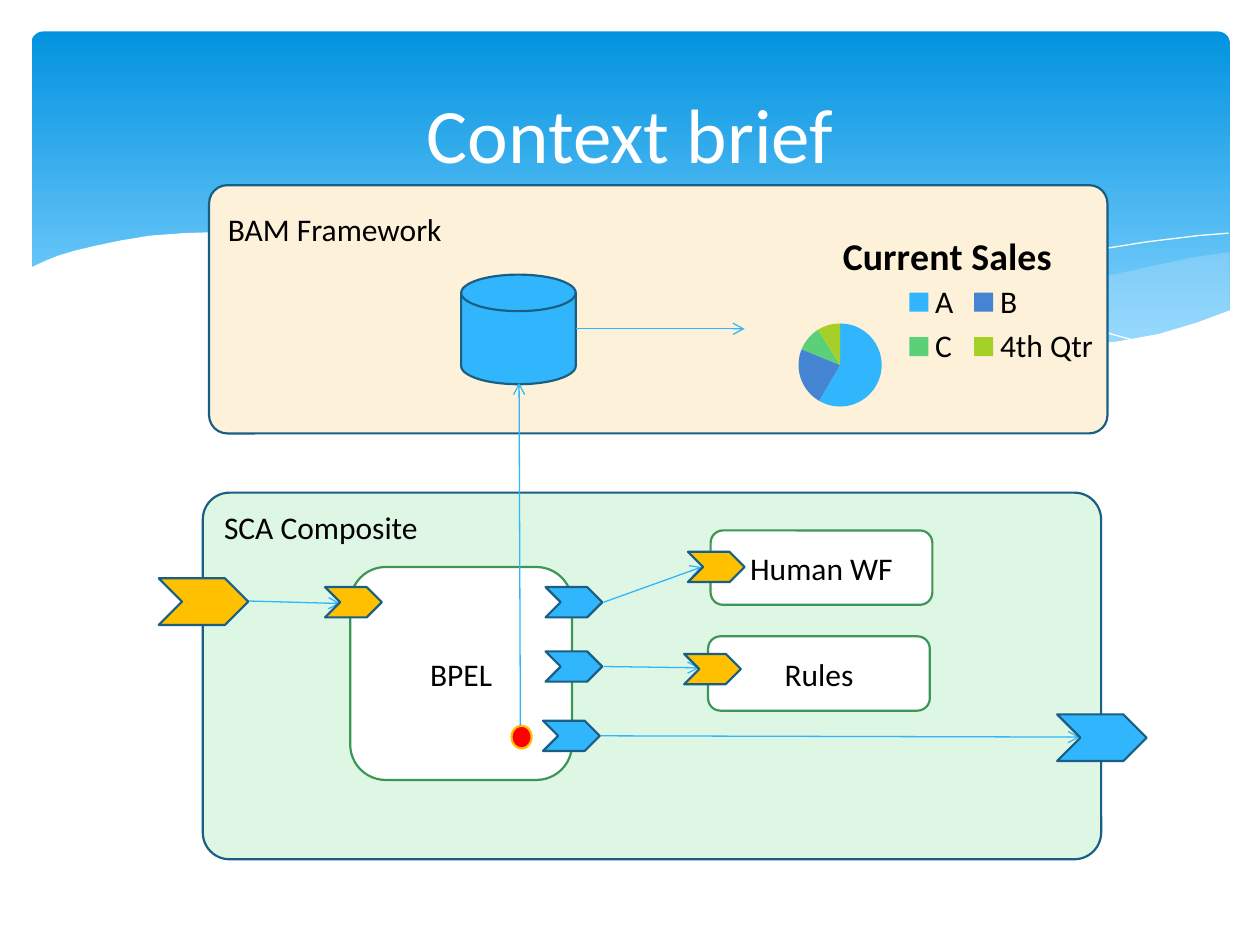
import pptx
import pptx.chart.data
import pptx.dml.color
import pptx.enum.chart
import pptx.enum.shapes
import pptx.enum.text
import pptx.oxml.ns
import pptx.util
from lxml import etree
from pptx.util import Inches

SHAPES = pptx.enum.shapes.MSO_SHAPE
ALIGN = pptx.enum.text.PP_ALIGN
ANCHOR = pptx.enum.text.MSO_ANCHOR
qn = pptx.oxml.ns.qn

FONT = "Calibri"
BLUE, AMBER, NAVY, GREEN = "31B6FD", "FFC000", "195F84", "3D9653"
WHITE, BLACK, PALE_BLUE = "FFFFFF", "000000", "C6E7FC"
LARGE_PORT, SMALL_PORT = (0.71, 0.37), (0.45, 0.24)

# Header waves: outline points in inches
FAR_WAVE = [
    (9.76, 2), (9.48, 2.04), (9.06, 2.13), (8.61, 2.23), (8.05, 2.37),
    (7.29, 2.53), (6.61, 2.65), (7.05, 2.71), (7.57, 2.76), (8.14, 2.78),
    (8.54, 2.76), (8.89, 2.72), (9.21, 2.65), (9.49, 2.57), (9.76, 2.47)]
MIDDLE_WAVE = [
    (8.93, 2.73), (8.37, 2.65), (7.75, 2.54), (7.06, 2.4), (6.29, 2.22),
    (5.84, 2.11), (5.41, 2.03), (4.89, 1.94), (4.42, 1.89), (3.99, 1.86),
    (3.61, 1.85), (3.28, 1.87), (2.86, 1.91), (3.42, 1.99), (4.04, 2.11),
    (4.49, 2.22), (5.3, 2.4), (6.01, 2.55), (6.65, 2.66), (7.22, 2.74),
    (7.73, 2.77), (8.18, 2.78), (8.57, 2.77)]
FALLING_LINE = [
    (3.09, 1.95), (3.28, 1.92), (3.53, 1.89), (3.87, 1.87), (4.33, 1.87),
    (4.89, 1.9), (5.33, 1.94), (5.82, 2), (6.36, 2.08), (6.95, 2.19),
    (7.6, 2.33), (8.31, 2.51), (9.07, 2.72)]
RISING_LINE = [
    (6.13, 2.57), (6.53, 2.46), (6.95, 2.35), (7.48, 2.23), (8.06, 2.1),
    (8.66, 1.99), (9.1, 1.92), (9.51, 1.87), (9.75, 1.85)]
WHITE_WAVE = [
    (9.77, 2.46), (9.5, 2.56), (9.2, 2.65), (8.87, 2.71), (8.5, 2.75),
    (8.09, 2.77), (7.61, 2.75), (7.08, 2.7), (6.48, 2.62), (5.79, 2.5),
    (5.03, 2.33), (4.47, 2.2), (3.91, 2.07), (3.4, 1.97), (2.92, 1.9),
    (2.5, 1.86), (2.11, 1.84), (1.77, 1.84), (1.46, 1.85), (1.19, 1.87),
    (0.95, 1.91), (0.76, 1.95), (0.59, 1.99), (0.46, 2.03), (0.36, 2.07),
    (0.23, 2.13), (0.23, 3.29), (9.77, 3.29)]


def rgb(value):
    return pptx.dml.color.RGBColor.from_string(value)


def paint(shape, fill=None, line=None, width=1.25):
    shape.shadow.inherit = False
    if fill:
        shape.fill.solid()
        shape.fill.fore_color.rgb = rgb(fill)
    else:
        shape.fill.background()
    if line:
        shape.line.color.rgb = rgb(line)
        shape.line.width = pptx.util.Pt(width)
    else:
        shape.line.fill.background()


def write(shape, text, size=18, color=BLACK, align=ALIGN.CENTER):
    paragraph = shape.text_frame.paragraphs[0]
    paragraph.text = text
    paragraph.alignment = align
    paragraph.font.size = pptx.util.Pt(size)
    paragraph.font.name = FONT
    paragraph.font.color.rgb = rgb(color)


def add_box(slide, kind, box, fill, line=NAVY, text=None, corner=None):
    shape = slide.shapes.add_shape(kind, *map(Inches, box))
    paint(shape, fill, line)
    if corner is not None:
        shape.adjustments[0] = corner
    if text:
        write(shape, text)
        shape.text_frame.vertical_anchor = ANCHOR.MIDDLE
    return shape


def add_port(slide, left, top, size, fill):
    add_box(slide, SHAPES.CHEVRON, (left, top, *size), fill)


def add_label(slide, box, text):
    label = slide.shapes.add_textbox(*map(Inches, box))
    label.text_frame.word_wrap = False
    write(label, text, align=ALIGN.LEFT)


def add_arrow(slide, start, end):
    arrow = slide.shapes.add_connector(
        pptx.enum.shapes.MSO_CONNECTOR.STRAIGHT, *map(Inches, start + end))
    arrow.line.color.rgb = rgb(BLUE)
    arrow.line.width = pptx.util.Pt(0.75)
    etree.SubElement(arrow.line._get_or_add_ln(), qn("a:tailEnd"), type="arrow")
    etree.SubElement(arrow._element.spPr, qn("a:effectLst"))


def add_wave(slide, points, fill=None, opacity=100, line=None):
    outline = [(Inches(x), Inches(y)) for x, y in points]
    builder = slide.shapes.build_freeform(*outline[0], scale=1.0)
    builder.add_line_segments(outline[1:], close=fill is not None)
    wave = builder.convert_to_shape()
    paint(wave, fill, line, 0)
    if opacity < 100:
        color = wave._element.spPr.find(qn("a:solidFill"))[0]
        etree.SubElement(color, qn("a:alpha"), val=str(opacity * 1000))


def add_header(slide):
    banner = add_box(slide, SHAPES.ROUNDED_RECTANGLE, (0.25, 0.25, 9.51, 2.7),
                     WHITE, None, corner=0.034)
    banner.fill.gradient()
    banner.fill.gradient_angle = 270
    for stop, (position, color) in zip(banner.fill.gradient_stops,
                                       [(0, "0293E0"), (0.9, "83D3FE")]):
        stop.position = position
        stop.color.rgb = rgb(color)
    add_wave(slide, FAR_WAVE, PALE_BLUE, 29)
    add_wave(slide, MIDDLE_WAVE, PALE_BLUE, 40)
    add_wave(slide, FALLING_LINE, line=WHITE)
    add_wave(slide, RISING_LINE, line=WHITE)
    add_wave(slide, WHITE_WAVE, WHITE)


def place_title(slide):
    title = slide.shapes.title
    title.left, title.top, title.width, title.height = map(
        Inches, (0.5, 0.37, 9, 1.37))
    title.text_frame.vertical_anchor = ANCHOR.MIDDLE
    write(title, "Context brief", 44, WHITE)
    # The title sits in front of the header
    slide.shapes._spTree.append(title._element)


def add_composite(slide):
    rounded = SHAPES.ROUNDED_RECTANGLE
    add_box(slide, rounded, (1.61, 3.91, 7.13, 2.91), "DEF6E4", corner=0.073)
    add_label(slide, (1.68, 3.98, 1.83, 0.4), "SCA Composite")
    for box, text in [((2.78, 4.5, 1.76, 1.69), "BPEL"),
                      ((5.64, 4.21, 1.76, 0.59), "Human WF"),
                      ((5.62, 5.05, 1.76, 0.59), "Rules")]:
        add_box(slide, rounded, box, WHITE, GREEN, text)
    for start, end in [((1.97, 4.77), (2.7, 4.79)), ((4.77, 5.84), (8.57, 5.85)),
                       ((4.79, 4.78), (5.57, 4.5)), ((4.79, 5.29), (5.55, 5.3))]:
        add_arrow(slide, start, end)
    # Service ports are amber, reference ports blue
    add_port(slide, 1.26, 4.59, LARGE_PORT, AMBER)
    add_port(slide, 8.39, 5.67, LARGE_PORT, BLUE)
    for left, top in [(2.58, 4.66), (5.46, 4.38), (5.43, 5.19)]:
        add_port(slide, left, top, SMALL_PORT, AMBER)
    for left, top in [(4.33, 4.66), (4.33, 5.17), (4.31, 5.72)]:
        add_port(slide, left, top, SMALL_PORT, BLUE)


def add_sales_chart(slide):
    sales = pptx.chart.data.CategoryChartData()
    sales.categories = ["A", "B", "C", "4th Qtr"]
    sales.add_series("Current Sales", (59, 23, 10, 9))
    chart = slide.shapes.add_chart(
        pptx.enum.chart.XL_CHART_TYPE.PIE,
        *map(Inches, (6.2, 1.68, 2.64, 1.79)), sales).chart
    chart.font.size = pptx.util.Pt(18)
    chart.font.name = FONT
    chart.font.color.rgb = rgb(BLACK)
    chart.has_title = True
    heading = chart.chart_title.text_frame.paragraphs[0]
    heading.text = "Current Sales"
    heading.font.size = pptx.util.Pt(21.6)
    heading.font.bold = True
    chart.has_legend = True
    chart.legend.position = pptx.enum.chart.XL_LEGEND_POSITION.RIGHT
    chart.legend.include_in_layout = False
    chart.plots[0].vary_by_categories = True
    for index, color in enumerate([BLUE, "4584D3", "5BD078", "A5D028"]):
        slice_fill = chart.plots[0].series[0].points[index].format.fill
        slice_fill.solid()
        slice_fill.fore_color.rgb = rgb(color)


def add_framework(slide):
    add_box(slide, SHAPES.ROUNDED_RECTANGLE, (1.66, 1.47, 7.13, 1.97),
            "FDF2D9", corner=0.073)
    add_label(slide, (1.71, 1.62, 1.99, 0.4), "BAM Framework")
    add_box(slide, SHAPES.OVAL, (4.06, 5.76, 0.16, 0.18), "FF0000", AMBER)
    add_sales_chart(slide)
    add_box(slide, SHAPES.FLOWCHART_MAGNETIC_DISK, (3.66, 2.18, 0.91, 0.87), BLUE)
    add_arrow(slide, (4.13, 5.76), (4.12, 3.04))
    add_arrow(slide, (4.57, 2.61), (5.91, 2.61))


def main():
    deck = pptx.Presentation()
    deck.slide_width, deck.slide_height = Inches(10), Inches(7.5)
    slide = deck.slides.add_slide(deck.slide_layouts[5])
    add_header(slide)
    place_title(slide)
    add_composite(slide)
    add_framework(slide)
    deck.save("out.pptx")


main()
